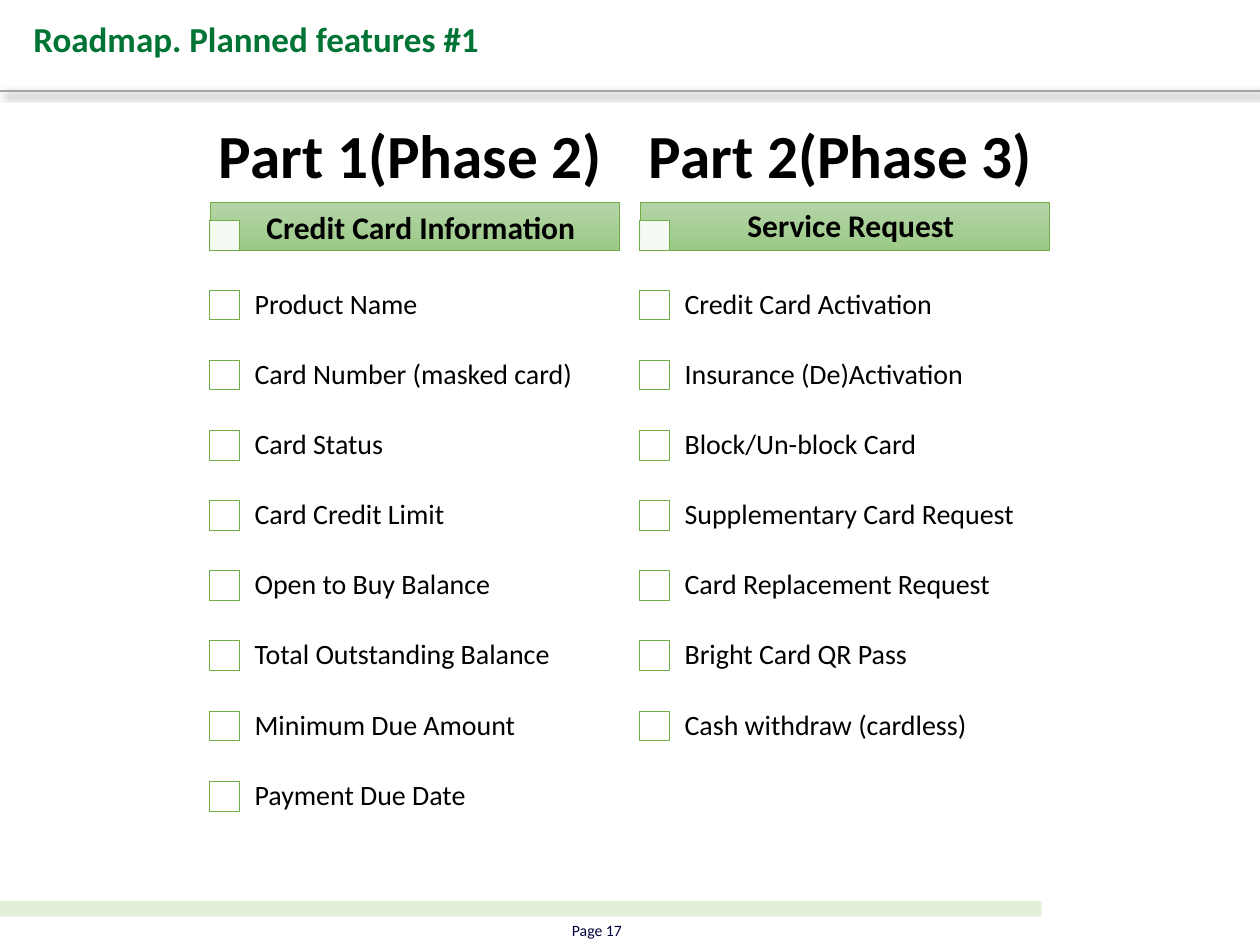
from dataclasses import dataclass

from lxml.etree import SubElement
from pptx import Presentation
from pptx.dml.color import RGBColor as Rgb
from pptx.enum.shapes import MSO_CONNECTOR as Link, MSO_SHAPE as Kind
from pptx.enum.text import MSO_ANCHOR as Anchor, PP_ALIGN as Align
from pptx.oxml.ns import qn
from pptx.shapes.autoshape import Shape
from pptx.slide import Slide
from pptx.util import Pt


@dataclass(frozen=True)
class Theme:
    font: str = "Calibri"
    black: str = "000000"
    white: str = "FFFFFF"
    title: str = "007434"
    page: str = "00003C"
    rule: str = "A5A5A5"
    footer: str = "E2F0D9"
    edge: str = "70AD47"
    light: str = "B5D5A7"
    dark: str = "9CC987"
    title_size: float = 20
    part_size: float = 35
    head_size: float = 18
    item_size: float = 16
    page_size: float = 9


@dataclass(frozen=True)
class Box:
    left: float
    top: float
    width: float
    height: float

    def pts(self) -> list[Pt]:
        return [Pt(v) for v in (self.left, self.top, self.width, self.height)]


@dataclass(frozen=True)
class Part:
    left: float
    name: str
    head: str
    head_top: float
    items: tuple[str, ...]


THEME = Theme()
WIDTH, HEIGHT = 720, 540
PART_W = 234
CHECK = 17
ROW_TOP, ROW_H = 154.2, 40.1
PARTS = (
    Part(120, "Part 1(Phase 2)", "Credit Card Information", 115.2, (
        "Product Name", "Card Number (masked card)", "Card Status",
        "Card Credit Limit", "Open to Buy Balance",
        "Total Outstanding Balance", "Minimum Due Amount",
        "Payment Due Date")),
    Part(365.7, "Part 2(Phase 3)", "Service Request", 114.2, (
        "Credit Card Activation", "Insurance (De)Activation",
        "Block/Un-block Card", "Supplementary Card Request",
        "Card Replacement Request", "Bright Card QR Pass",
        "Cash withdraw (cardless)")),
)


def add_text(slide: Slide, box: Box, text: str, size: float,
             color: str = THEME.black, bold: bool = False,
             pad: tuple[float, float] = (7.2, 3.6),
             anchor: Anchor = Anchor.MIDDLE, align: Align = Align.LEFT,
             spacing: float = 1.0) -> None:
    frame = slide.shapes.add_textbox(*box.pts()).text_frame
    frame.word_wrap = True
    frame.vertical_anchor = anchor
    frame.margin_left = frame.margin_right = Pt(pad[0])
    frame.margin_top = frame.margin_bottom = Pt(pad[1])
    para = frame.paragraphs[0]
    para.text = text
    para.alignment = align
    para.line_spacing = spacing
    font = para.font
    font.name, font.size, font.bold = THEME.font, Pt(size), bold
    font.color.rgb = Rgb.from_string(color)


def add_rect(slide: Slide, box: Box, fill: str, edge: str = "") -> Shape:
    rect = slide.shapes.add_shape(Kind.RECTANGLE, *box.pts())
    rect.shadow.inherit = False
    rect.fill.solid()
    rect.fill.fore_color.rgb = Rgb.from_string(fill)
    if edge:
        rect.line.color.rgb = Rgb.from_string(edge)
        rect.line.width = Pt(0.5)
    else:
        rect.line.fill.background()
    return rect


def add_bar(slide: Slide, box: Box) -> None:
    """Draw a heading bar that darkens from top to bottom."""
    fill = add_rect(slide, box, THEME.light, THEME.edge).fill
    fill.gradient()
    fill.gradient_angle = 270
    for stop, color in zip(fill.gradient_stops, (THEME.light, THEME.dark)):
        stop.color.rgb = Rgb.from_string(color)


def add_check(slide: Slide, left: float, top: float) -> Shape:
    box = Box(left, top, CHECK, CHECK)
    return add_rect(slide, box, THEME.white, THEME.edge)


def set_alpha(parent, percent: int) -> None:
    """Make the colour element inside parent partly transparent."""
    color = parent.find(".//" + qn("a:srgbClr"))
    SubElement(color, qn("a:alpha"), val=str(percent * 1000))


def add_rule(slide: Slide, top: float) -> None:
    """Draw the full-width line under the title, with its soft shadow."""
    line = slide.shapes.add_connector(
        Link.STRAIGHT, Pt(0), Pt(top), Pt(WIDTH), Pt(top))
    line.line.color.rgb = Rgb.from_string(THEME.rule)
    line.line.width = Pt(1.5)
    effects = SubElement(line._element.spPr, qn("a:effectLst"))
    shadow = SubElement(effects, qn("a:outerShdw"), blurRad=str(Pt(4)),
                        dist=str(Pt(3)), dir=str(45 * 60000),
                        algn="tl", rotWithShape="0")
    SubElement(shadow, qn("a:srgbClr"), val=THEME.black)
    set_alpha(effects, 40)


def add_part(slide: Slide, part: Part) -> None:
    left = part.left
    add_bar(slide, Box(left, 115.5, PART_W, 27.5))
    check = add_check(slide, left, 126)
    set_alpha(check._element.spPr.find(qn("a:solidFill")), 90)
    add_text(slide, Box(left, 66, PART_W, 49.5), part.name,
             THEME.part_size, bold=True, pad=(5, 3.6), spacing=0.9)
    for row, item in enumerate(part.items):
        top = ROW_TOP + row * ROW_H
        add_check(slide, left, top + (ROW_H - CHECK) / 2)
        add_text(slide, Box(left + CHECK, top, PART_W - CHECK, ROW_H), item,
                 THEME.item_size, pad=(8.5, 8.5), spacing=0.9)
    add_text(slide, Box(left + 17.5, part.head_top, 206, 29), part.head,
             THEME.head_size, bold=True, anchor=Anchor.TOP,
             align=Align.CENTER)


def main() -> None:
    deck = Presentation()
    deck.slide_width, deck.slide_height = Pt(WIDTH), Pt(HEIGHT)
    slide = deck.slides.add_slide(deck.slide_layouts[6])
    add_rect(slide, Box(0, 515, 595.3, 8.8), THEME.footer)
    add_text(slide, Box(324, 523, 39.6, 17), "Page 17", THEME.page_size,
             THEME.page, pad=(2.8, 0))
    add_text(slide, Box(12, 5.8, 620.6, 36), "Roadmap. Planned features #1",
             THEME.title_size, THEME.title, bold=True, spacing=0.9)
    add_rule(slide, 52)
    for part in PARTS:
        add_part(slide, part)
    deck.save("out.pptx")


if __name__ == "__main__":
    main()
